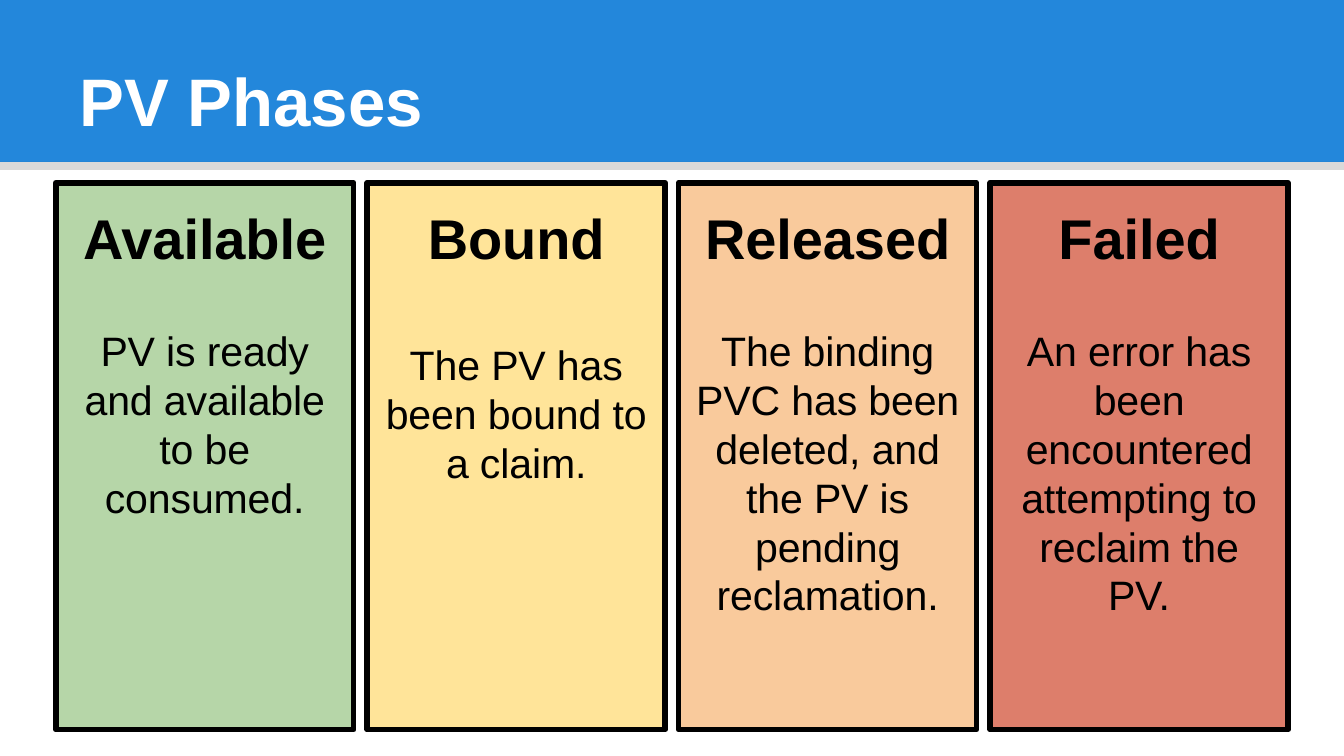
from pptx import Presentation
from pptx.dml.color import RGBColor
from pptx.enum.shapes import MSO_SHAPE
from pptx.enum.text import MSO_ANCHOR, PP_ALIGN
from pptx.util import Pt
from lxml import etree

RECT = MSO_SHAPE.RECTANGLE
TOP = MSO_ANCHOR.TOP
LEFT, CENTER = PP_ALIGN.LEFT, PP_ALIGN.CENTER
A = "{http://schemas.openxmlformats.org/drawingml/2006/main}"
PX = 4572
PHASES = [
    ("Available", "PV is ready and available to be consumed.", "B6D6A8", 29.5),
    ("Bound", "The PV has been bound to a claim.", "FFE499", 37),
    ("Released", "The binding PVC has been deleted, and the PV is pending reclamation.", "F9CA9C", 29.5),
    ("Failed", "An error has been encountered attempting to reclaim the PV.", "DD7E6B", 29.5),
]


def px(n):
    """Turn px into EMU, at 200 px to the inch."""
    return int(n * PX)


def rgb(value):
    """Turn a hex string into a colour."""
    return RGBColor.from_string(value)


def set_all(obj, values):
    """Set every attribute named in a dict."""
    for name, value in values.items():
        setattr(obj, name, value)


def add_rect(s, box, fill, alpha=None):
    """Add a flat rectangle without a line."""
    sp = s.shapes.add_shape(RECT, *map(px, box))
    sp.shadow.inherit = False
    sp.fill.solid()
    sp.fill.fore_color.rgb = rgb(fill)
    sp.line.fill.background()
    if alpha:
        color = sp._element.spPr.find(f"{A}solidFill/{A}srgbClr")
        etree.SubElement(color, f"{A}alpha").set("val", str(alpha * 1000))
    return sp


def set_frame(tf, top):
    """Make a wrapping text frame with only a top inset."""
    set_all(tf, {"word_wrap": True, "vertical_anchor": TOP, "margin_left": 0,
                 "margin_right": 0, "margin_top": px(top), "margin_bottom": 0})


def write(p, text, size, color, bold, align, **spacing):
    """Write one styled run into a paragraph."""
    set_all(p, {"alignment": align, **spacing})
    r = p.add_run()
    r.text = text
    set_all(r.font, {"name": "Arial", "size": Pt(size), "bold": bold})
    r.font.color.rgb = rgb(color)
    r.font._element.set("spc", "-5")


def add_header(s, x, y, w, h):
    """Draw the title band with its translucent edge below."""
    add_rect(s, (x, y, w, h), "2387DB")
    add_rect(s, (x, y + h, w, 12), "000000", alpha=15)
    tf = s.shapes.add_textbox(*map(px, (x + 119, y + 86, 516, 126))).text_frame
    set_frame(tf, 2)
    write(tf.paragraphs[0], "PV Phases", 36, "FFFFFF", True, LEFT)


def add_phase(s, x, y, w, h, name, text, fill, gap):
    """Draw one phase card with its heading and description."""
    sp = add_rect(s, (x, y, w, h), fill)
    sp.line.color.rgb = rgb("000000")
    sp.line.width = Pt(3)
    tf = sp.text_frame
    set_frame(tf, 31)
    write(tf.paragraphs[0], name, 30, "000000", True, CENTER)
    p = tf.add_paragraph()
    for side in ("marL", "marR"):
        p._p.get_or_add_pPr().set(side, str(px(24)))
    write(p, text, 22, "000000", False, CENTER,
          space_before=Pt(gap), line_spacing=Pt(26.2))


def add_phases(s, x, y, w, h, gap):
    """Lay the phase cards out in equal columns."""
    card = (w - gap * (len(PHASES) - 1)) / len(PHASES)
    for i, phase in enumerate(PHASES):
        add_phase(s, x + i * (card + gap), y, card, h, *phase)


def main():
    """Build and save the slide."""
    prs = Presentation()
    set_all(prs, {"slide_width": px(2000), "slide_height": px(1125)})
    s = prs.slides.add_slide(prs.slide_layouts[6])
    add_header(s, 0, 0, 2000, 241)
    add_phases(s, 83, 272, 1834, 814, 20)
    prs.save("out.pptx")


if __name__ == "__main__":
    main()
